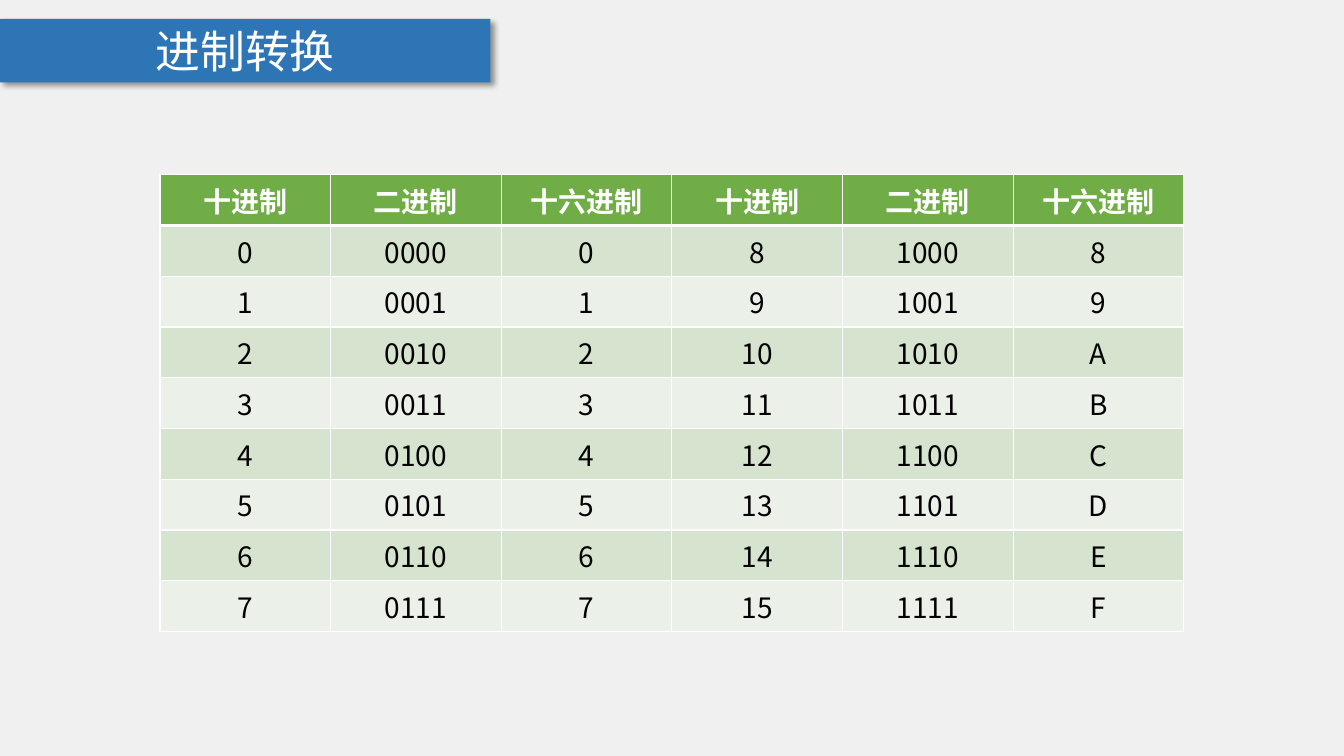
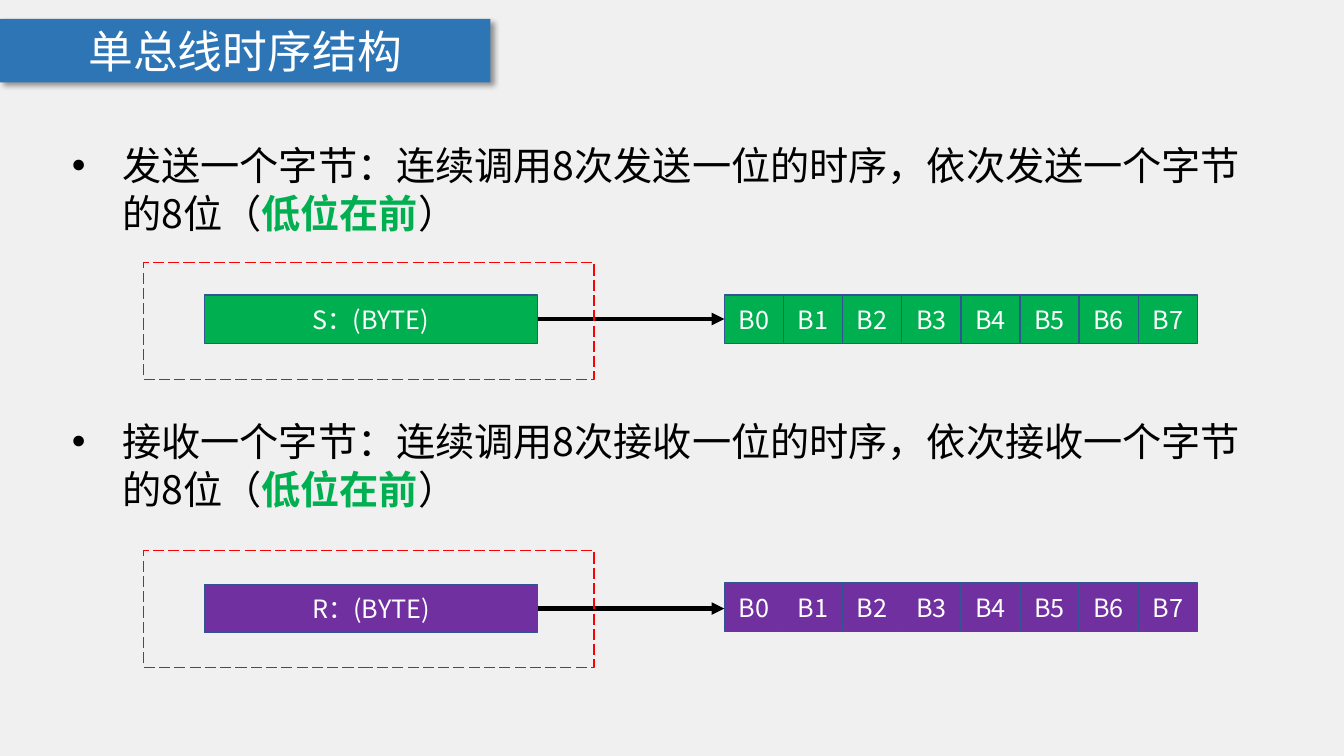
"""Build two slides: a number base table and the byte order on a one-wire bus."""
from lxml.etree import SubElement
from pptx import Presentation
from pptx.dml.color import RGBColor
from pptx.enum.dml import MSO_LINE
from pptx.enum.shapes import MSO_CONNECTOR, MSO_SHAPE
from pptx.enum.text import MSO_ANCHOR, MSO_AUTO_SIZE, PP_ALIGN
from pptx.oxml.ns import qn
from pptx.util import Inches, Pt

FONT = "Noto Sans CJK SC"
WHITE, BLACK, GREEN, PURPLE = "FFFFFF", "000000", "00B050", "7030A0"
BAND_BLUE, OUTLINE_BLUE, FRAME_RED, BACKGROUND = "2E75B6", "325491", "FF0000", "F0F0F0"
HEADER_GREEN, ROW_FILLS = "70AD47", ("EBF1E9", "D5E3CF")


def paint(fill, color):
    fill.solid()
    fill.fore_color.rgb = RGBColor.from_string(color)


def write(paragraph, text, size=18, color=WHITE, bold=False, align=None):
    if align is not None:
        paragraph.alignment = align
    run = paragraph.add_run()
    run.text = text
    run.font.size = Pt(size)
    run.font.bold = bold
    run.font.name = FONT
    paint(run.font.fill, color)
    SubElement(run._r.get_or_add_rPr(), qn("a:ea"), typeface=FONT)


presentation = Presentation()
presentation.slide_width = Inches(13.333)
presentation.slide_height = Inches(7.5)
column = presentation.slide_width // 1000
row = presentation.slide_height // 1000
paint(presentation.slide_master.background.fill, BACKGROUND)

slides = []
for layout_index, heading in ((5, "进制转换"), (3, "单总线时序结构")):
    slide = presentation.slides.add_slide(presentation.slide_layouts[layout_index])
    title = slide.shapes.title
    title.left, title.top, title.width, title.height = 0, 25 * row, 365 * column, 84 * row
    paint(title.fill, BAND_BLUE)
    title.shadow.inherit = False
    effects = title._element.spPr.find(qn("a:effectLst"))
    shadow = SubElement(effects, qn("a:outerShdw"), blurRad="50800", dist="38100",
                        dir="2700000", algn="tl", rotWithShape="0")
    shadow_color = SubElement(shadow, qn("a:srgbClr"), val=BLACK)
    SubElement(shadow_color, qn("a:alpha"), val="40000")
    title.text_frame.auto_size = MSO_AUTO_SIZE.NONE
    title.text_frame.vertical_anchor = MSO_ANCHOR.MIDDLE
    write(title.text_frame.paragraphs[0], heading, size=32, align=PP_ALIGN.CENTER)
    slides.append(slide)
table_slide, bus_slide = slides

records = [["十进制", "二进制", "十六进制"] * 2]
for low in range(8):
    records.append([text for number in (low, low + 8)
                    for text in (f"{number}", f"{number:04b}", f"{number:X}")])
table = table_slide.shapes.add_table(
    len(records), 6, 119 * column, 231 * row, 6 * 127 * column, len(records) * 67 * row).table
table.horz_banding = False
for row_index, record in enumerate(records):
    is_header = row_index == 0
    borders = {"L": 1, "R": 1, "T": 3 if row_index == 1 else 1, "B": 3 if is_header else 1}
    for column_index, text in enumerate(record):
        cell = table.cell(row_index, column_index)
        for side, points in borders.items():
            border = SubElement(cell._tc.get_or_add_tcPr(), qn(f"a:ln{side}"), w=str(Pt(points)))
            border_fill = SubElement(border, qn("a:solidFill"))
            SubElement(border_fill, qn("a:srgbClr"), val=WHITE)
        paint(cell.fill, HEADER_GREEN if is_header else ROW_FILLS[row_index % 2])
        write(cell.text_frame.paragraphs[0], text, size=20, bold=is_header,
              color=WHITE if is_header else BLACK, align=PP_ALIGN.CENTER)

transfers = (
    (1, "发送", "S", GREEN, 180, 347, 390, 390),
    (2, "接收", "R", PURPLE, 545, 728, 773, 771),
)
for placeholder_index, verb, letter, color, list_top, frame_top, byte_top, bits_top in transfers:
    body = bus_slide.placeholders[placeholder_index]
    body.left, body.top = 46 * column, list_top * row
    body.width, body.height = 906 * column, 139 * row
    body.text_frame.word_wrap = True
    body.text_frame.auto_size = MSO_AUTO_SIZE.SHAPE_TO_FIT_TEXT
    body.text_frame.vertical_anchor = MSO_ANCHOR.TOP
    paragraph = body.text_frame.paragraphs[0]
    paragraph.space_before = Pt(0)
    paragraph.line_spacing = Pt(34)
    properties = paragraph._p.get_or_add_pPr()
    properties.set("marL", str(Inches(0.5)))
    properties.set("indent", str(-Inches(0.5)))
    write(paragraph, f"{verb}一个字节：连续调用8次{verb}一位的时序，依次{verb}一个字节的8位（",
          size=28, color=BLACK)
    write(paragraph, "低位在前", size=28, color=GREEN, bold=True)
    write(paragraph, "）", size=28, color=BLACK)

    blocks = [(f"{letter}：(BYTE)", 152, byte_top, 248)]
    blocks += [(f"B{bit}", 539 + 44 * bit, bits_top, 44) for bit in range(8)]
    shapes = []
    for label, left, top, width in blocks:
        shape = bus_slide.shapes.add_shape(
            MSO_SHAPE.RECTANGLE, left * column, top * row, width * column, 64 * row)
        shape.shadow.inherit = False
        paint(shape.fill, color)
        paint(shape.line.fill, OUTLINE_BLUE)
        shape.line.width = Pt(1)
        write(shape.text_frame.paragraphs[0], label, align=PP_ALIGN.CENTER)
        shapes.append(shape)
    byte_box, first_bit = shapes[:2]

    arrow_y = (byte_top + 32) * row
    arrow = bus_slide.shapes.add_connector(
        MSO_CONNECTOR.STRAIGHT, 400 * column, arrow_y, 539 * column, arrow_y)
    arrow.begin_connect(byte_box, 3)
    if byte_top == bits_top:
        arrow.end_connect(first_bit, 1)
    paint(arrow.line.fill, BLACK)
    arrow.line.width = Pt(3)
    arrow_properties = arrow._element.spPr
    SubElement(arrow_properties.find(qn("a:ln")), qn("a:tailEnd"), type="triangle")
    SubElement(arrow_properties, qn("a:effectLst"))

    frame = bus_slide.shapes.add_shape(
        MSO_SHAPE.RECTANGLE, 107 * column, frame_top * row, 335 * column, 155 * row)
    frame.shadow.inherit = False
    frame.fill.background()
    paint(frame.line.fill, FRAME_RED)
    frame.line.width = Pt(1)
    frame.line.dash_style = MSO_LINE.LONG_DASH

presentation.save("out.pptx")
